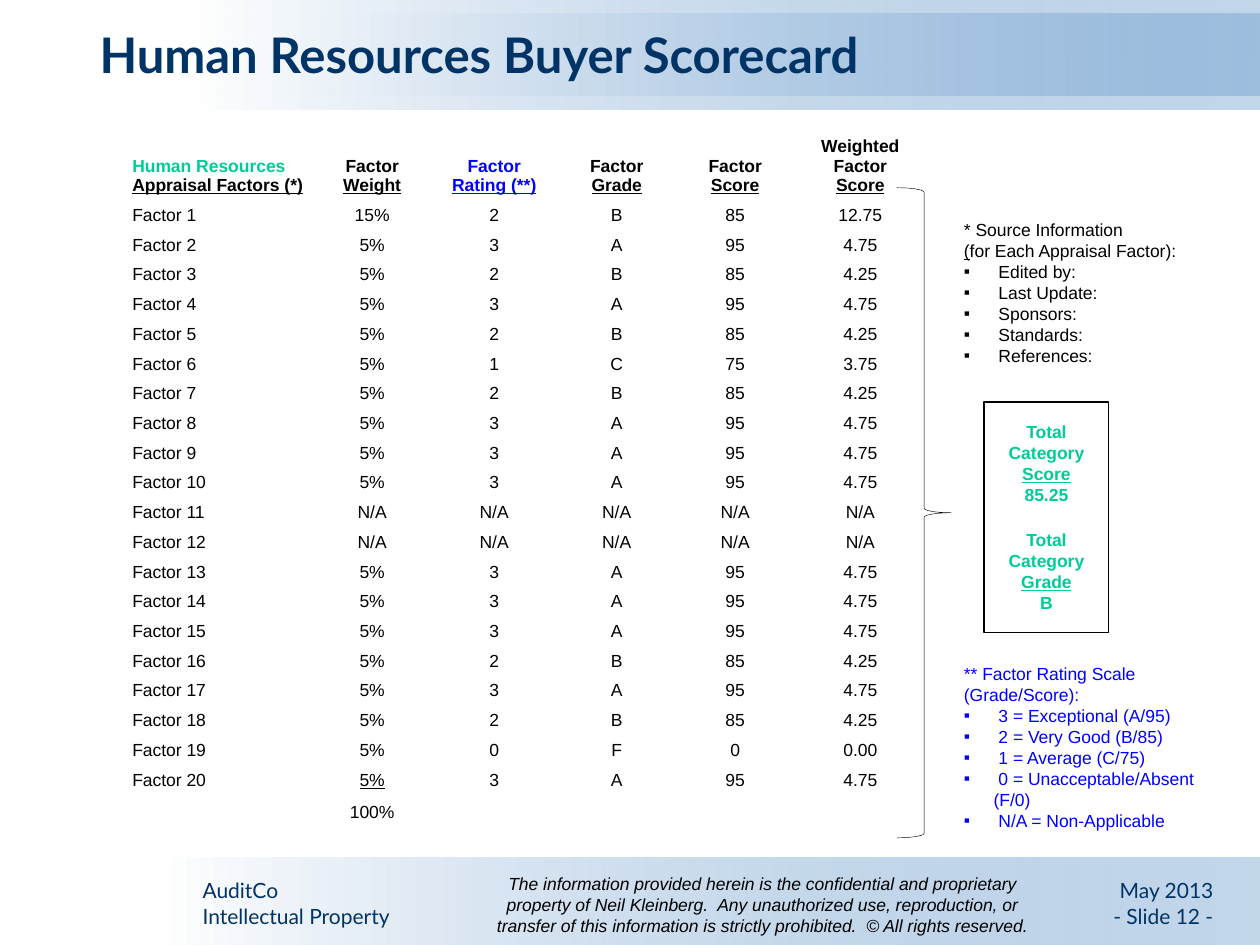
from pptx import Presentation
from pptx.dml.color import RGBColor as RGB
from pptx.enum.shapes import MSO_SHAPE as SHAPE
from pptx.enum.text import MSO_ANCHOR as ANCHOR, MSO_AUTO_SIZE as AUTO, PP_ALIGN as AL
from pptx.oxml.ns import qn
from pptx.util import Pt
from lxml.etree import SubElement

COLORS = {"navy": "003366", "band": "6699CC", "white": "FFFFFF",
          "black": "000000", "blue": "0000FF", "green": "00CC99"}
GRADES = {3: ("A", 95), 2: ("B", 85), 1: ("C", 75), 0: ("F", 0)}
RATINGS = [2, 3, 2, 3, 2, 1, 2, 3, 3, 3, None, None, 3, 3, 3, 2, 3, 2, 0, 3]
HEADERS = [("Human Resources", "Appraisal Factors (*)"), ("Factor", "Weight"),
           ("Factor", "Rating (**)"), ("Factor", "Grade"), ("Factor", "Score"),
           ("Weighted", "Factor", "Score")]
COL_WIDTHS = [109, 70.5, 69, 71, 64.5, 78.5]
HEADER_HEIGHT, ROW_HEIGHT = 40, 17


def color(name):
    """Return the named colour."""
    return RGB.from_string(COLORS[name])


def box(*lengths):
    """Convert left, top, width and height to lengths."""
    return [Pt(v) for v in lengths]


def add_run(p, text, ink="black", size=10, font="Arial", bold=False, italic=False, underline=False):
    """Add one formatted run to a paragraph."""
    r = p.add_run()
    r.text = text
    r.font.name, r.font.size = font, Pt(size)
    r.font.bold, r.font.italic, r.font.underline = bold, italic, underline
    r.font.color.rgb = color(ink)


def add_paragraph(tf, align=AL.LEFT):
    """Return the unused first paragraph or a new one."""
    p = tf.paragraphs[0]
    if p.runs:
        p = tf.add_paragraph()
    p.alignment = align
    return p


def add_lines(tf, lines, align, **style):
    """Add each line as a paragraph in one style."""
    for line in lines:
        add_run(add_paragraph(tf, align), line, **style)


def add_text(s, place, lines, align, wrap=True, **style):
    """Add a text box of uniformly styled lines."""
    tf = s.shapes.add_textbox(*box(*place)).text_frame
    tf.word_wrap = wrap
    add_lines(tf, lines, align, **style)


def move_placeholder(sp, place, anchor):
    """Place a placeholder and return its text frame."""
    sp.left, sp.top, sp.width, sp.height = box(*place)
    tf = sp.text_frame
    tf.word_wrap, tf.auto_size, tf.vertical_anchor = True, AUTO.NONE, anchor
    return tf


def set_bullet(p, char=None):
    """Give a body paragraph a bullet or remove the inherited one."""
    p.space_before = Pt(0)
    pPr = p._p.get_or_add_pPr()
    indent = Pt(17) if char else 0
    pPr.set("marL", str(indent))
    pPr.set("indent", str(-indent))
    if char:
        SubElement(pPr, qn("a:buFont")).set("typeface", "Arial")
        SubElement(pPr, qn("a:buChar")).set("char", char)
    else:
        SubElement(pPr, qn("a:buNone"))


def add_note(sp, place, heading, items, ink):
    """Fill a body placeholder with heading lines and a bulleted list."""
    tf = move_placeholder(sp, place, ANCHOR.TOP)
    for runs in heading:
        p = add_paragraph(tf)
        set_bullet(p)
        for text, underline in runs:
            add_run(p, text, ink, underline=underline)
    for item in items:
        p = add_paragraph(tf)
        set_bullet(p, "▪")
        add_run(p, " " + item, ink)


def add_band(s, index, place):
    """Add a fading band behind the text."""
    sp = s.shapes.add_shape(SHAPE.RECTANGLE, *box(*place))
    sp.shadow.inherit = False
    sp.line.fill.background()
    sp.fill.gradient()
    sp.fill.gradient_angle = 0
    for stop, name, position in zip(sp.fill.gradient_stops, ("white", "band"), (0, 1)):
        stop.color.rgb = color(name)
        stop.position = position
    last = list(sp.element.iter(qn("a:srgbClr")))[-1]
    SubElement(last, qn("a:alpha")).set("val", "39000")
    sp.element.getparent().insert(2 + index, sp.element)


def add_outline(s, kind, place, width):
    """Add an unfilled shape with a black line."""
    sp = s.shapes.add_shape(kind, *box(*place))
    sp.shadow.inherit = False
    sp.fill.background()
    sp.line.color.rgb = color("black")
    sp.line.width = Pt(width)
    return sp


def score_rows():
    """Work out the text of each factor row and the total row."""
    rows = []
    for i, rating in enumerate(RATINGS):
        values = ["N/A"] * 5
        if rating is not None:
            weight = 5 if i else 15
            grade, score = GRADES[rating]
            values = [f"{weight}%", str(rating), grade, str(score), f"{weight * score / 100:.2f}"]
        rows.append([f"Factor {i + 1}"] + values)
    return rows + [["", "100%", "", "", "", ""]]


def format_cell(cell, col, anchor):
    """Clear a cell and return its text frame and alignment."""
    cell.fill.background()
    cell.margin_left = Pt(0 if col else 7.2)
    cell.margin_right = cell.margin_top = Pt(0)
    cell.margin_bottom = Pt(3 if anchor == ANCHOR.BOTTOM else 0)
    cell.vertical_anchor = anchor
    return cell.text_frame, AL.CENTER if col else AL.LEFT


def add_scorecard(s):
    """Add the table of factors."""
    rows = score_rows()
    height = HEADER_HEIGHT + ROW_HEIGHT * len(rows)
    place = box(68.4, 74.6, sum(COL_WIDTHS), height)
    table = s.shapes.add_table(len(rows) + 1, len(COL_WIDTHS), *place).table
    table.first_row = table.horz_banding = False
    for i, row in enumerate(table.rows):
        row.height = Pt(ROW_HEIGHT if i else HEADER_HEIGHT)
    inks = {0: "green", 2: "blue"}
    for col, (width, lines) in enumerate(zip(COL_WIDTHS, HEADERS)):
        table.columns[col].width = Pt(width)
        tf, align = format_cell(table.cell(0, col), col, ANCHOR.BOTTOM)
        ink = inks.get(col, "black")
        add_lines(tf, lines[:-1], align, ink=ink, bold=True)
        add_lines(tf, lines[-1:], align, ink=ink if col else "black", bold=True, underline=True)
    for i, values in enumerate(rows, 1):
        for col, value in enumerate(values):
            tf, align = format_cell(table.cell(i, col), col, ANCHOR.MIDDLE)
            add_lines(tf, [value], align, underline=col == 1 and i == len(RATINGS))


def add_totals(s):
    """Add the framed category totals."""
    tf = add_outline(s, SHAPE.RECTANGLE, (562.3, 229.7, 71.3, 131.8), 0.75).text_frame
    tf.word_wrap, tf.vertical_anchor = True, ANCHOR.MIDDLE
    for kind, value, gap in (("Score", "85.25", 0), ("Grade", "B", 13.7)):
        for line in ("Total", "Category", kind, value):
            p = add_paragraph(tf, AL.CENTER)
            p.space_before = Pt(gap if line == "Total" else 0)
            add_run(p, line, "green", bold=True, underline=line == kind)


def main():
    """Build the scorecard slide."""
    prs = Presentation()
    prs.slide_width, prs.slide_height = Pt(720), Pt(540)
    s = prs.slides.add_slide(prs.slide_layouts[3])
    title, source, scale = s.placeholders
    bands = [(90, 490.3, 630, 49.7), (108, 0, 612, 62.6), (108, 7.9, 612, 46.8)]
    for i, place in enumerate(bands):
        add_band(s, i, place)
    tf = move_placeholder(title, (49.7, 10.1, 632.9, 41.8), ANCHOR.MIDDLE)
    add_lines(tf, ["Human Resources Buyer Scorecard"], AL.LEFT,
              ink="navy", size=28, font="Lato", bold=True)
    add_scorecard(s)
    add_outline(s, SHAPE.RIGHT_BRACE, (512.6, 107.3, 31, 371.5), 0.25)
    add_note(source, (543.6, 121.7, 137.5, 88.6),
             [[("* Source Information", False)],
              [("(", True), ("for Each Appraisal Factor):", False)]],
             ["Edited by:", "Last Update:", "Sponsors:", "Standards:", "References:"], "black")
    add_totals(s)
    add_note(scale, (543.6, 375.1, 162.7, 100),
             [[("** Factor Rating Scale", False)], [("(Grade/Score):", False)]],
             ["3 = Exceptional (A/95)", "2 = Very Good (B/85)", "1 = Average (C/75)",
              "0 = Unacceptable/Absent (F/0)", "N/A = Non-Applicable"], "blue")
    footer = {"ink": "navy", "size": 12, "font": "Lato"}
    add_text(s, (108.7, 498.2, 126.7, 36), ["AuditCo", "Intellectual Property"], AL.LEFT, **footer)
    add_text(s, (508.3, 498.2, 192.2, 36), ["May 2013", "- Slide 12 -"], AL.RIGHT, **footer)
    add_text(s, (275, 495.4, 321.1, 43.9),
             ["The information provided herein is the confidential and proprietary",
              "property of Neil Kleinberg.  Any unauthorized use, reproduction, or",
              "transfer of this information is strictly prohibited.  © All rights reserved."],
             AL.CENTER, wrap=False, italic=True)
    prs.save("out.pptx")


main()
